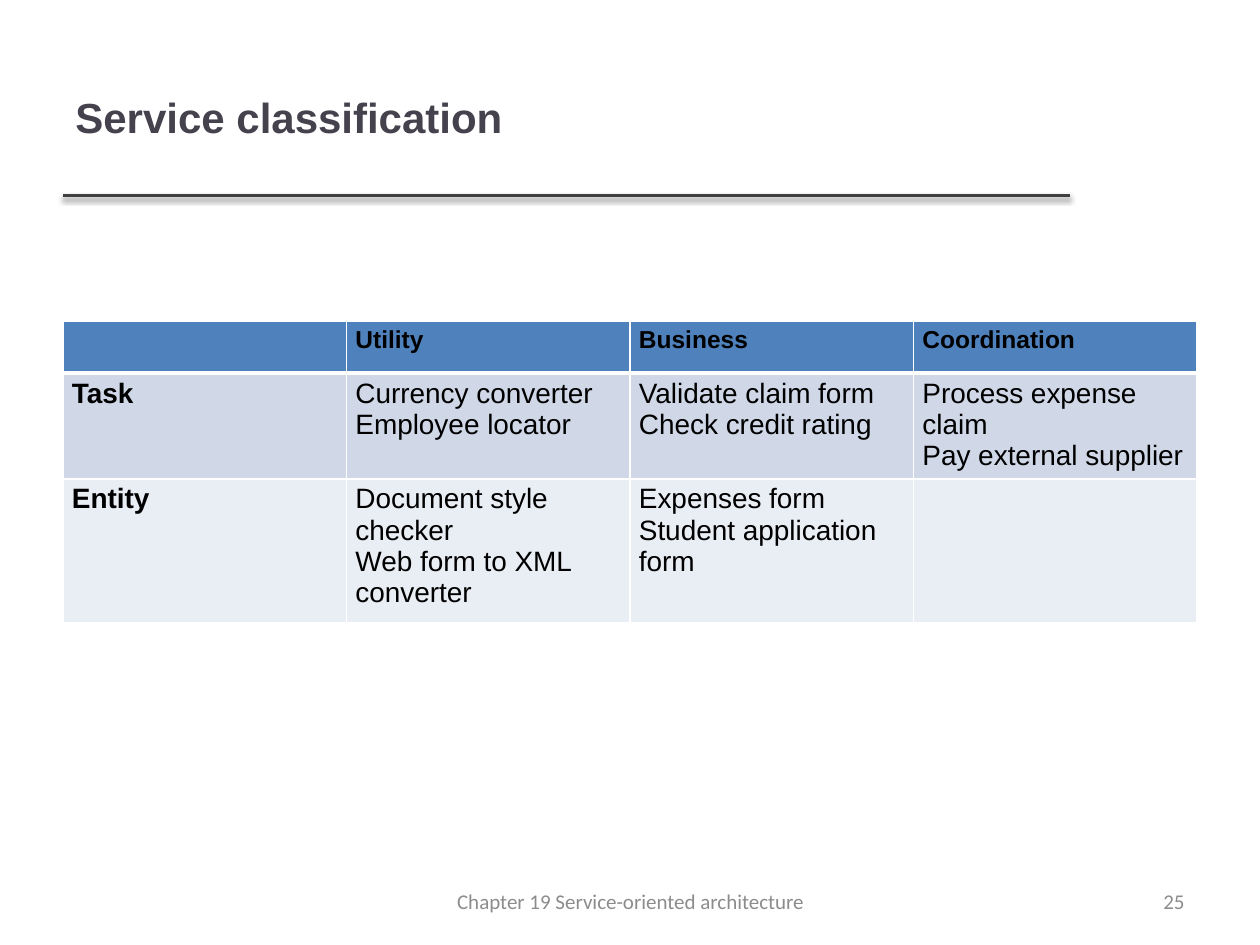
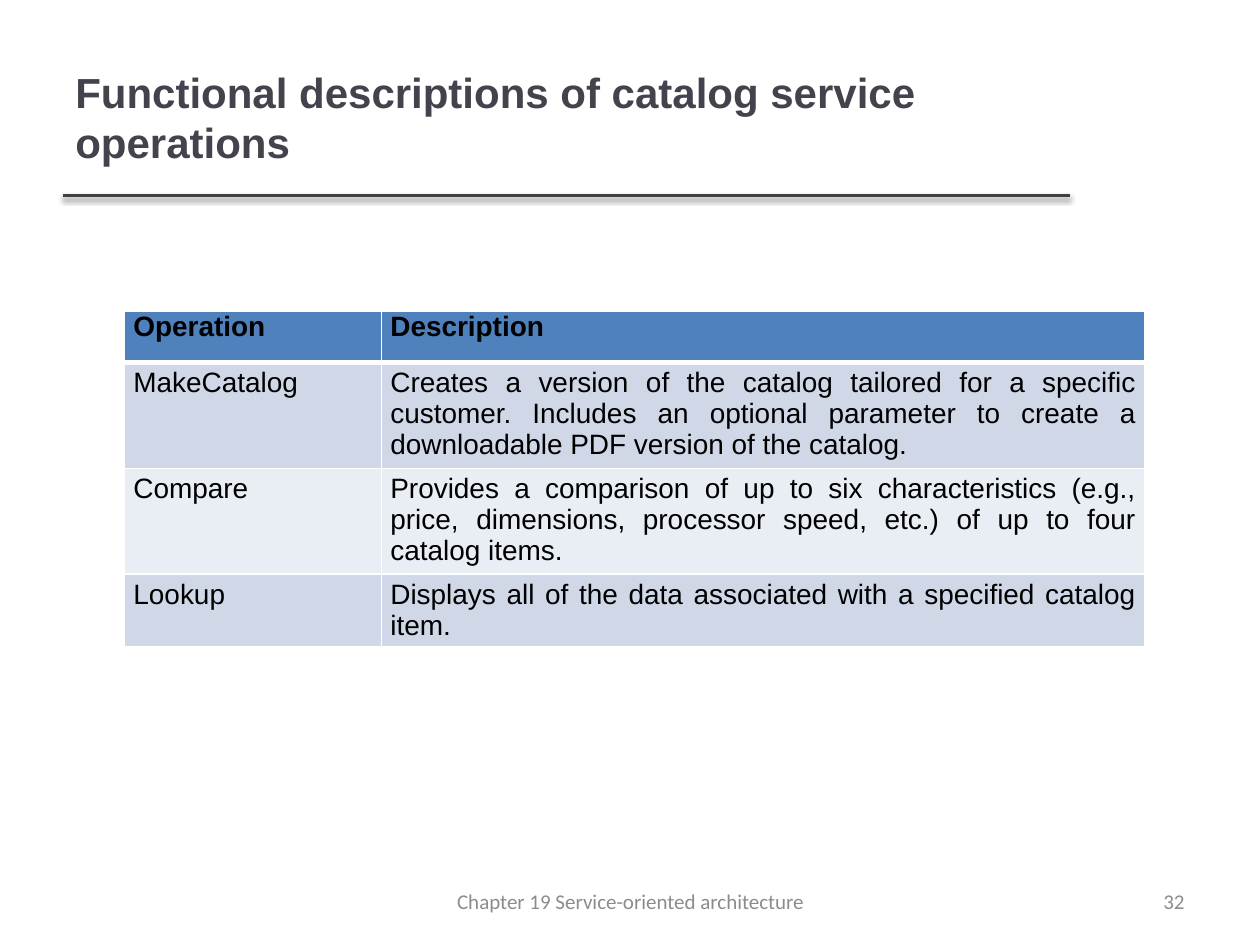
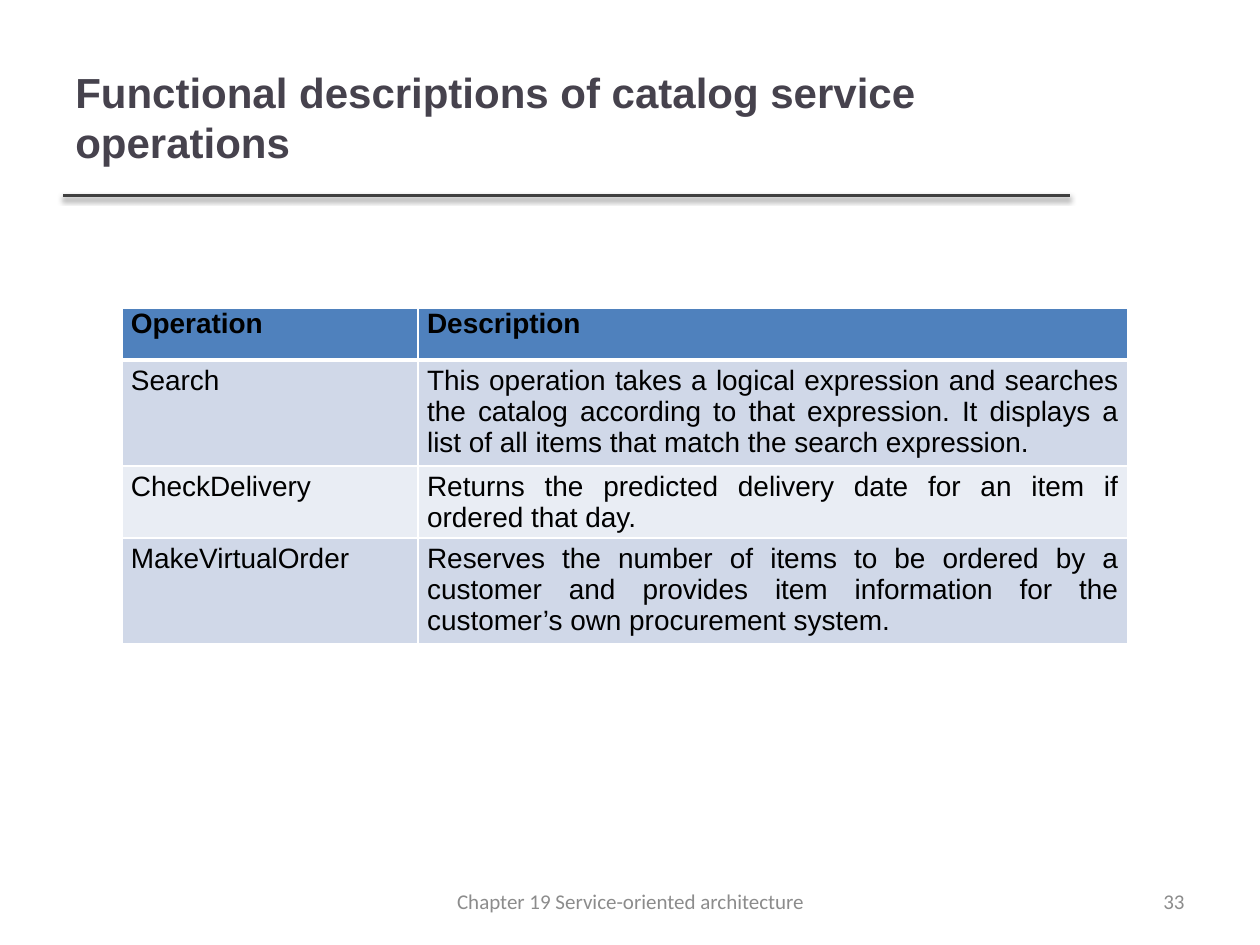
from lxml import etree
from pptx import Presentation
from pptx.dml.color import RGBColor
from pptx.enum.shapes import MSO_CONNECTOR
from pptx.enum.text import MSO_ANCHOR, PP_ALIGN
from pptx.oxml.ns import qn
from pptx.util import Cm, Pt

LEFT, MID, RIGHT, FULL = PP_ALIGN.LEFT, PP_ALIGN.CENTER, PP_ALIGN.RIGHT, PP_ALIGN.JUSTIFY
CENTRE = MSO_ANCHOR.MIDDLE
STRAIGHT = MSO_CONNECTOR.STRAIGHT

HUES = {
    "title": "46424D",
    "rule": "404040",
    "text": "000000",
    "foot": "8C8C8C",
    "head": "4F81BD",
    "odd": "D0D8E8",
    "even": "E9EDF4",
    "grid": "FFFFFF",
}


def form(hue, size, align=LEFT, bold=False, name="Arial", **gaps):
    return {
        "hue": hue,
        "font": {"name": name, "size": Pt(size), "bold": bold},
        "para": {"alignment": align, **gaps},
    }


FORMS = {
    "title": form("title", 24, bold=True),
    "foot": form("foot", 12, MID, name="Calibri"),
    "page": form("foot", 12, RIGHT, name="Calibri"),
    "small": form("text", 14, FULL, True),
    "head": form("text", 16, FULL, True, space_before=Pt(3), space_after=Pt(3)),
    "label": form("text", 16, FULL, True),
    "list": form("text", 16),
    "prose": form("text", 16, FULL),
}


def apply(item, values):
    for key, value in values.items():
        setattr(item, key, value)


def add(node, tag, **attrs):
    return etree.SubElement(node, qn(tag), attrs)


class Deck:
    def __init__(self):
        self.show = Presentation()
        self.show.slide_width = Cm(25.4)
        self.show.slide_height = Cm(19.05)
        self.slide = None

    def hue(self, name):
        return RGBColor.from_string(HUES[name])

    def fill(self, frame, text, style):
        look = FORMS[style]
        frame.text = text
        for para in frame.paragraphs:
            apply(para, look["para"])
            for run in para.runs:
                apply(run.font, look["font"])
                run.font.color.rgb = self.hue(look["hue"])

    def text(self, text, style, left, top, width, height):
        box = self.slide.shapes.add_textbox(Cm(left), Cm(top), Cm(width), Cm(height))
        apply(box.text_frame, {"word_wrap": True, "vertical_anchor": CENTRE})
        self.fill(box.text_frame, text, style)

    def rule(self, left, right, top):
        line = self.slide.shapes.add_connector(STRAIGHT, Cm(left), Cm(top), Cm(right), Cm(top))
        line.line.color.rgb = self.hue("rule")
        line.line.width = Pt(2)
        glow = add(add(line._element.spPr, "a:effectLst"), "a:outerShdw",
                   blurRad=str(Pt(3.1)), dist=str(Pt(1.6)), dir="5400000", rotWithShape="0")
        add(add(glow, "a:srgbClr", val=HUES["text"]), "a:alpha", val="38000")

    def page(self, title, number):
        self.slide = self.show.slides.add_slide(self.show.slide_layouts[6])
        self.rule(1.27, 21.56, 3.94)
        self.text(title, "title", 1.27, 0.76, 20.27, 3.18)
        self.text(str(number), "page", 18.21, 17.65, 5.92, 1.02)
        self.text("Chapter 19 Service-oriented architecture", "foot", 8.69, 17.65, 8.05, 1.02)

    def edges(self, cell, row):
        props = cell._tc.get_or_add_tcPr()
        thick = {"T": row == 1, "B": row == 0}
        for side in "LRTB":
            width = Pt(3 if thick.get(side) else 1)
            edge = add(props, f"a:ln{side}", w=str(width))
            add(add(edge, "a:solidFill"), "a:srgbClr", val=HUES["grid"])

    def table(self, left, top, widths, rows, head="head", first="prose", body="prose",
              lead=0, tail=0):
        high = 1.04
        grid = self.slide.shapes.add_table(
            len(rows), len(widths), Cm(left), Cm(top), Cm(sum(widths)), Cm(high * len(rows))
        ).table
        apply(grid, {"first_row": False, "horz_banding": False})
        for col, width in zip(grid.columns, widths):
            col.width = Cm(width)
        for r, texts in enumerate(rows):
            grid.rows[r].height = Cm(high)
            band = "head" if r == 0 else ("even", "odd")[r % 2]
            for c, text in enumerate(texts):
                cell = grid.cell(r, c)
                apply(cell, {
                    "margin_left": Cm(0.18),
                    "margin_right": Cm(0.18),
                    "margin_top": Cm(0.1 if r else lead),
                    "margin_bottom": Cm(tail if r == len(rows) - 1 else 0),
                })
                self.edges(cell, r)
                cell.fill.solid()
                cell.fill.fore_color.rgb = self.hue(band)
                self.fill(cell.text_frame, text, head if r == 0 else body if c else first)


def main():
    deck = Deck()
    deck.page("Service classification", 25)
    deck.table(1.27, 6.48, [22.86 / 4] * 4, [
        ["", "Utility", "Business", "Coordination"],
        ["Task", "Currency converter\nEmployee locator",
         "Validate claim form\nCheck credit rating",
         "Process expense claim\nPay external supplier"],
        ["Entity", "Document style checker\nWeb form to XML converter",
         "Expenses form\nStudent application form", ""],
    ], head="small", first="label", body="list", lead=0.1, tail=0.1)

    title = "Functional descriptions of catalog service operations"
    heads = ["Operation", "Description"]
    deck.page(title, 32)
    deck.table(2.51, 6.27, [5.18, 15.39], [
        heads,
        ["MakeCatalog", "Creates a version of the catalog tailored for a specific customer. "
         "Includes an optional parameter to create a downloadable PDF version of the catalog."],
        ["Compare", "Provides a comparison of up to six characteristics (e.g., price, "
         "dimensions, processor speed, etc.) of up to four catalog items."],
        ["Lookup", "Displays all of the data associated with a specified catalog item."],
    ])

    deck.page(title, 33)
    deck.table(2.46, 6.22, [5.97, 14.3], [
        heads,
        ["Search", "This operation takes a logical expression and searches the catalog "
         "according to that expression. It displays a list of all items that match the "
         "search expression."],
        ["CheckDelivery", "Returns the predicted delivery date for an item if ordered that day."],
        ["MakeVirtualOrder", "Reserves the number of items to be ordered by a customer and "
         "provides item information for the customer’s own procurement system."],
    ])
    deck.show.save("out.pptx")


if __name__ == "__main__":
    main()
